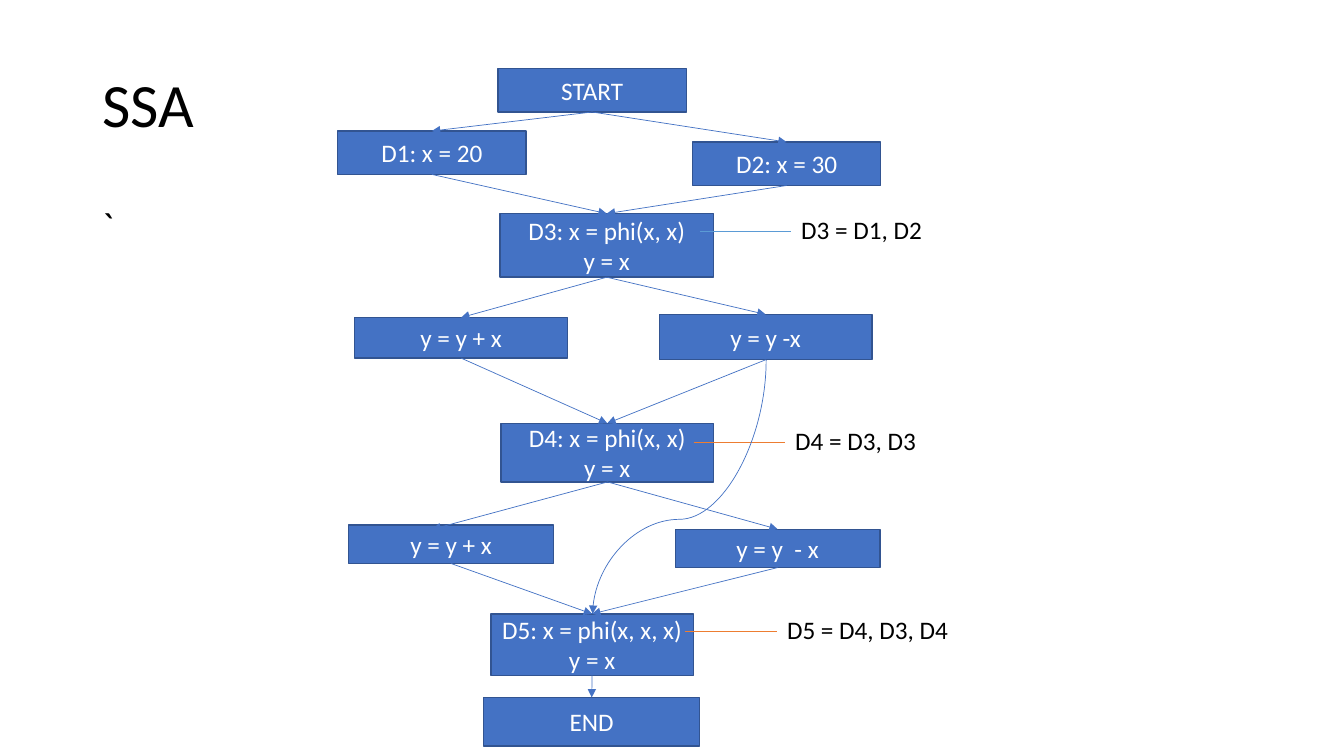
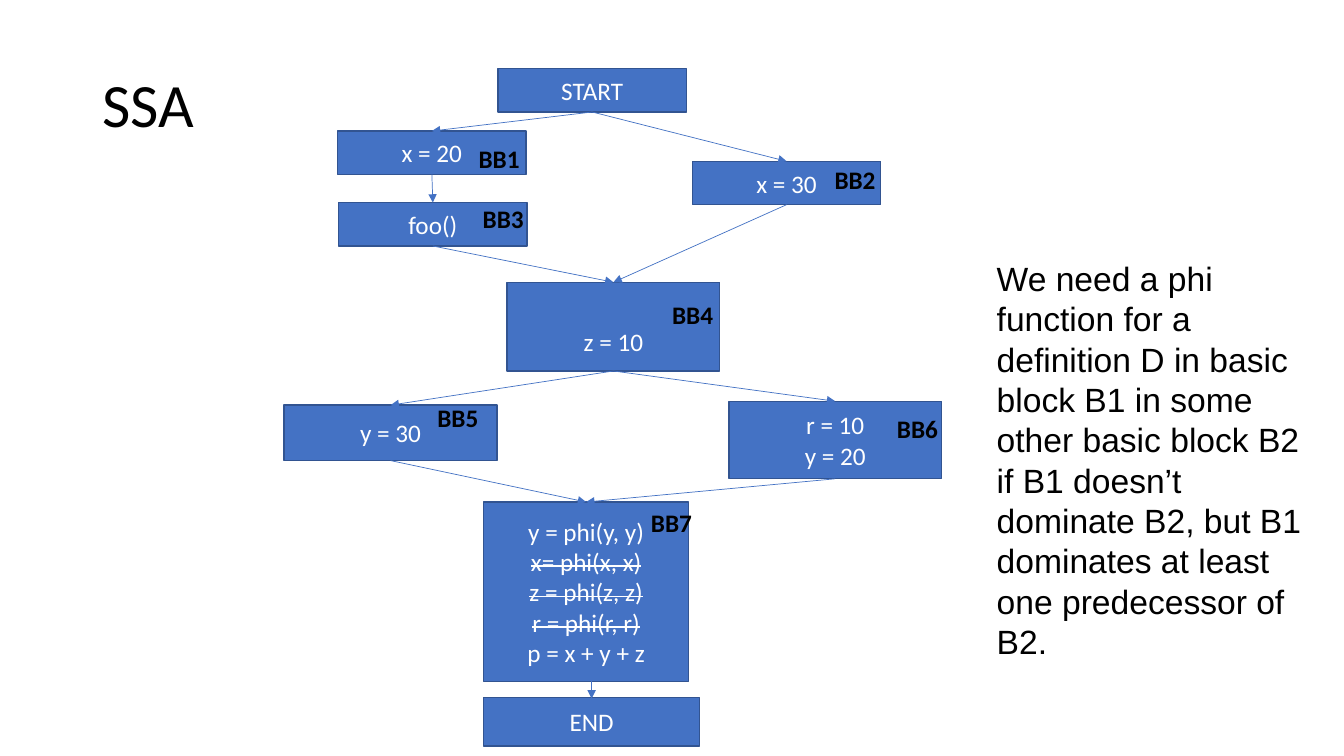
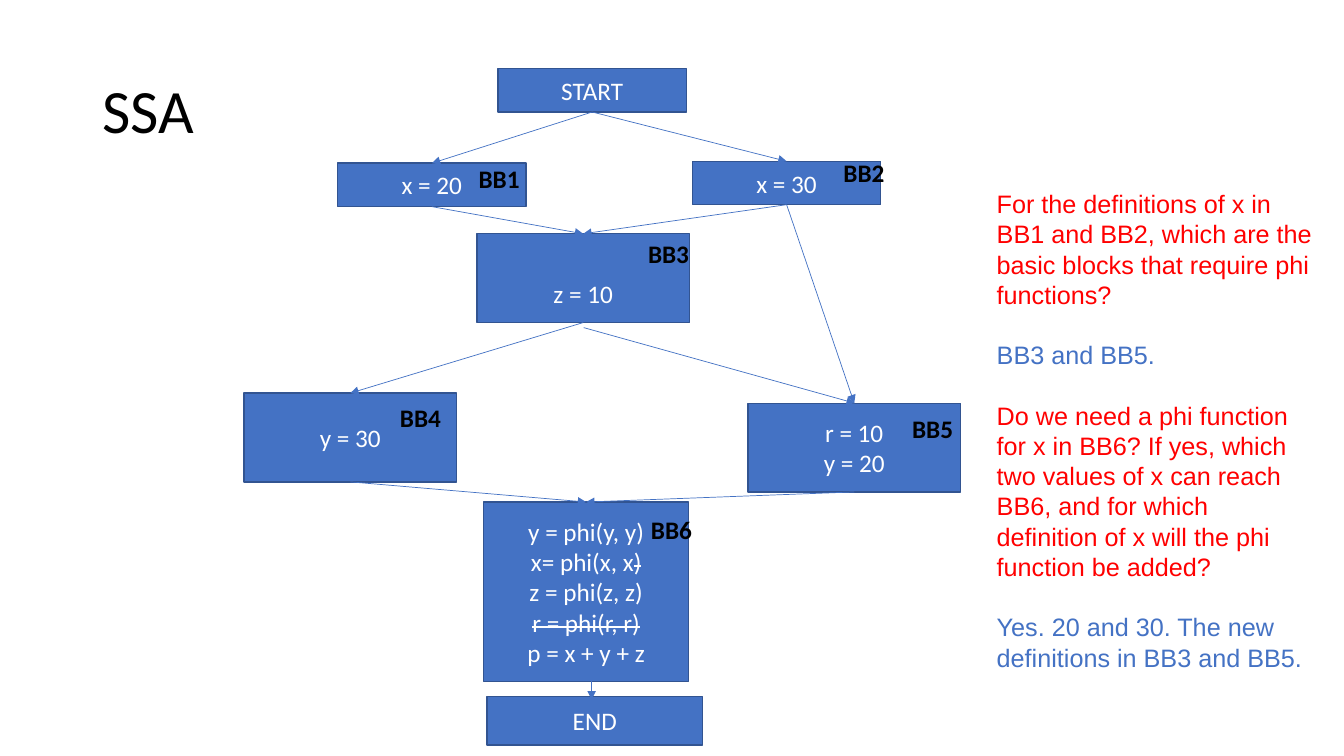
from lxml.etree import SubElement
from pptx import Presentation
from pptx.dml.color import RGBColor
from pptx.enum.shapes import MSO_CONNECTOR as CONNECTOR, MSO_SHAPE as SHAPE
from pptx.enum.text import MSO_ANCHOR as ANCHOR, MSO_AUTO_SIZE as AUTO_SIZE, PP_ALIGN as ALIGN
from pptx.oxml.ns import qn
from pptx.util import Pt

COLORS = {
    "blue": "4472C4", "edge": "325491", "white": "FFFFFF", "black": "000000",
    "red": "FF0000", "orange": "ED7D31", "sky": "5B9BD5",
}
SMALL = (134.6, 31)
WIDE = 152
TALL = 63.4
PHI_BOX = (345.6, 358.6, 146.2, 128.2)
START = (355.7, 49, *SMALL, ("START",))
END_SIZE = (154.1, 34.6)
LEADER_LENGTH = 65.5
LABEL_HEIGHT = 28.8
BLANK_LINE = 21.6

# Boxes: left, top, width, height, lines. Text between ~ marks is struck out;
# an empty first line lowers the text by one line.
# Edges run from the bottom of one box to the top of another.
# Loose arrows: start x, start y, end x, end y.
SLIDES = [
    {
        "title_top": 24.5,
        "boxes": {
            "START": START,
            "D1": (241.2, 93.6, *SMALL, ("D1: x = 20",)),
            "D2": (494.6, 101.5, *SMALL, ("D2: x = 30",)),
            "D3": (357.1, 152.6, 152.6, 45.4, ("D3: x = phi(x, x)", "y = x")),
            "add3": (253.4, 226.8, WIDE, 29, ("y = y + x",)),
            "sub3": (470.9, 224.6, WIDE, 32.4, ("y = y -x",)),
            "D4": (357.8, 302.4, WIDE, 41.8, ("D4: x = phi(x, x)", "y = x")),
            "add4": (249.1, 375.1, 146.2, 27.4, ("y = y + x",)),
            "sub4": (482.4, 378, 146.2, 27.4, ("y = y  - x",)),
            "D5": (350.6, 438.5, 144.7, 43.9, ("D5: x = phi(x, x, x)", "y = x")),
            "END": (345.6, 498.2, *END_SIZE, ("END",)),
        },
        "edges": [
            ("START", "D1"), ("START", "D2"), ("D1", "D3"), ("D2", "D3"),
            ("D3", "add3"), ("D3", "sub3"), ("add3", "D4"), ("sub3", "D4"),
            ("D4", "sub4"), ("add4", "D5"), ("sub4", "D5"), ("D5", "END"),
        ],
        "loose": [(434.2, 344.2, 308.9, 378)],
        "labels": {},
    },
    {
        "title_top": 24.5,
        "boxes": {
            "START": START,
            "BB1": (241.2, 93.6, *SMALL, ("x = 20",)),
            "BB2": (494.6, 115.2, *SMALL, ("x = 30",)),
            "BB3": (241.9, 144.7, *SMALL, ("foo()",)),
            "BB4": (362.2, 201.6, WIDE, TALL, ("", "z = 10")),
            "BB5": (203, 289.4, WIDE, 39.6, ("y = 30",)),
            "BB6": (520.6, 286.6, WIDE, 55.4, ("r = 10", "y = 20")),
            "BB7": (*PHI_BOX, ("y = phi(y, y)", "~x= phi(x, x)~", "~z = phi(z, z)~",
                               "~r = phi(r, r)~", "p = x + y + z")),
            "END": (345.6, 498.2, *END_SIZE, ("END",)),
        },
        "edges": [
            ("START", "BB1"), ("START", "BB2"), ("BB1", "BB3"), ("BB2", "BB4"),
            ("BB3", "BB4"), ("BB4", "BB5"), ("BB4", "BB6"), ("BB5", "BB7"), ("BB6", "BB7"),
        ],
        "loose": [(422.6, 482.4, 422.6, 499)],
        "labels": {
            "BB1": (334.8, 98.6), "BB2": (589, 113.8), "BB3": (337.7, 141.8),
            "BB4": (473, 210.2), "BB5": (305.3, 283.7), "BB6": (633.6, 291.6),
            "BB7": (457.9, 358.6),
        },
        "note": (180.7, 298.1, 24, [
            ("We need a phi function for a definition D in basic block B1 in some other "
             "basic block B2 if B1 doesn’t dominate B2, but B1 dominates at least one "
             "predecessor of B2.", "black"),
        ]),
    },
    {
        "title_top": 28.8,
        "boxes": {
            "START": START,
            "BB1": (241.2, 116.6, *SMALL, ("x = 20",)),
            "BB2": (494.6, 115.2, *SMALL, ("x = 30",)),
            "BB3": (340.6, 167, WIDE, TALL, ("", "z = 10")),
            "BB4": (174.2, 280.8, WIDE, TALL, ("y = 30",)),
            "BB5": (534.2, 288, WIDE, TALL, ("r = 10", "y = 20")),
            "BB6": (*PHI_BOX, ("y = phi(y, y)", "x= phi(x, x~)~", "z = phi(z, z)",
                               "~r = phi(r, r)~", "p = x + y + z")),
            "END": (347.8, 497.5, *END_SIZE, ("END",)),
        },
        "edges": [
            ("START", "BB1"), ("START", "BB2"), ("BB1", "BB3"), ("BB2", "BB3"),
            ("BB2", "BB5"), ("BB3", "BB4"), ("BB4", "BB6"), ("BB5", "BB6"),
        ],
        "loose": [(416.9, 234, 610.6, 288), (422.6, 483.1, 422.6, 499.7)],
        "labels": {
            "BB1": (334.8, 113), "BB2": (595.4, 108.7), "BB3": (455.8, 167),
            "BB4": (278.6, 283.7), "BB5": (644.4, 291.6), "BB6": (457.9, 363.6),
        },
        "note": (131, 356.4, 18, [
            ("For the definitions of x in BB1 and BB2, which are the basic blocks that "
             "require phi functions?", "red"),
            ("BB3 and BB5.", "blue"),
            ("Do we need a phi function for x in BB6? If yes, which two values of x can "
             "reach BB6, and for which definition of x will the phi function be added?", "red"),
            ("Yes. 20 and 30. The new definitions in BB3 and BB5.", "blue"),
        ]),
    },
]
DEFINITIONS = [
    (565.2, 149.8, 113.8, "D3 = D1, D2", "sky"),
    (560.9, 300.2, 113.8, "D4 = D3, D3", "orange"),
    (555.1, 435.6, 131, "D5 = D4, D3, D4", "orange"),
]


def write(frame, lines, size=18, font="Calibri", align=ALIGN.LEFT, bold=False, gap=0):
    """Fill a text frame with (text, colour) lines; ~ marks toggle strikethrough."""
    frame.word_wrap = True
    for number, (text, color) in enumerate(lines):
        para = frame.add_paragraph() if number else frame.paragraphs[0]
        para.alignment = align
        para.space_before = Pt(gap if number else 0)
        for position, piece in enumerate(text.split("~")):
            if not piece:
                continue
            span = para.add_run()
            span.text = piece
            span.font.name = font
            span.font.size = Pt(size)
            span.font.bold = bold
            span.font.color.rgb = RGBColor.from_string(COLORS[color])
            if position % 2:
                span.font._element.set("strike", "sngStrike")


def draw_line(page, ends, color="blue", kind=CONNECTOR.STRAIGHT, arrow=True):
    line = page.shapes.add_connector(kind, *[Pt(value) for value in ends])
    line.line.color.rgb = RGBColor.from_string(COLORS[color])
    line.line.width = Pt(0.5)
    if arrow:
        SubElement(line.line._get_or_add_ln(), qn("a:tailEnd"), type="triangle")
    SubElement(line._element.spPr, qn("a:effectLst"))
    return line


deck = Presentation()
deck.slide_width, deck.slide_height = Pt(960), Pt(540)
pages = []

for number, content in enumerate(SLIDES):
    page = deck.slides.add_slide(deck.slide_layouts[5 if number else 1])
    pages.append(page)
    title = page.shapes.title
    title.left, title.top = Pt(66), Pt(content["title_top"])
    title.width, title.height = Pt(828), Pt(104.4)
    title.text_frame.vertical_anchor = ANCHOR.MIDDLE
    write(title.text_frame, [("SSA", "black")], 44)
    title.text_frame.paragraphs[0].line_spacing = 0.9

    boxes = {}
    for name, (left, top, width, height, lines) in content["boxes"].items():
        box = page.shapes.add_shape(SHAPE.RECTANGLE, Pt(left), Pt(top), Pt(width), Pt(height))
        box.shadow.inherit = False
        box.fill.solid()
        box.fill.fore_color.rgb = RGBColor.from_string(COLORS["blue"])
        box.line.color.rgb = RGBColor.from_string(COLORS["edge"])
        box.line.width = Pt(1)
        box.text_frame.vertical_anchor = ANCHOR.MIDDLE
        if not lines[0]:
            box.text_frame.margin_top = Pt(3.6 + BLANK_LINE)
        write(box.text_frame, [(text, "white") for text in lines if text], align=ALIGN.CENTER)
        boxes[name] = box

    for source, target in content["edges"]:
        arrow = draw_line(page, (0, 0, 0, 0))
        arrow.begin_connect(boxes[source], 2)
        arrow.end_connect(boxes[target], 0)
    for ends in content["loose"]:
        draw_line(page, ends)

    for name, (left, top) in content["labels"].items():
        label = page.shapes.add_textbox(Pt(left), Pt(top), Pt(77.8), Pt(LABEL_HEIGHT))
        write(label.text_frame, [(name, "black")], bold=True)
        label.text_frame.auto_size = AUTO_SIZE.SHAPE_TO_FIT_TEXT

    if "note" in content:
        top, height, size, lines = content["note"]
        note = page.shapes.add_textbox(Pt(704.9), Pt(top), Pt(239.8), Pt(height))
        write(note.text_frame, lines, size, "Arial", gap=BLANK_LINE)
        note.text_frame.auto_size = AUTO_SIZE.SHAPE_TO_FIT_TEXT

# First slide: body text, definition labels with leaders, and the curved jump to D5
page = pages[0]
body = page.placeholders[1]
body.left, body.top, body.width, body.height = Pt(66), Pt(144), Pt(828), Pt(342.7)
para = body.text_frame.paragraphs[0]
properties = para._p.get_or_add_pPr()
properties.set("marL", "0")
properties.set("indent", "0")
SubElement(properties, qn("a:buNone"))
write(body.text_frame, [("`", "black")], 28)
para.line_spacing = 0.9

for left, top, width, text, color in DEFINITIONS:
    label = page.shapes.add_textbox(Pt(left), Pt(top), Pt(width), Pt(LABEL_HEIGHT))
    write(label.text_frame, [(text, "black")])
    label.text_frame.auto_size = AUTO_SIZE.SHAPE_TO_FIT_TEXT
    level = top + 15.5
    draw_line(page, (left - LEADER_LENGTH, level, left, level), color, arrow=False)

jump = draw_line(page, (394.6, 285.8, 576, 409.7), kind=CONNECTOR.CURVE)
jump._element.spPr.find(qn("a:xfrm")).set("rot", str(90 * 60000))
guides = jump._element.spPr.find(qn("a:prstGeom")).get_or_add_avLst()
SubElement(guides, qn("a:gd"), name="adj1", fmla="val 62800")

deck.save("out.pptx")
